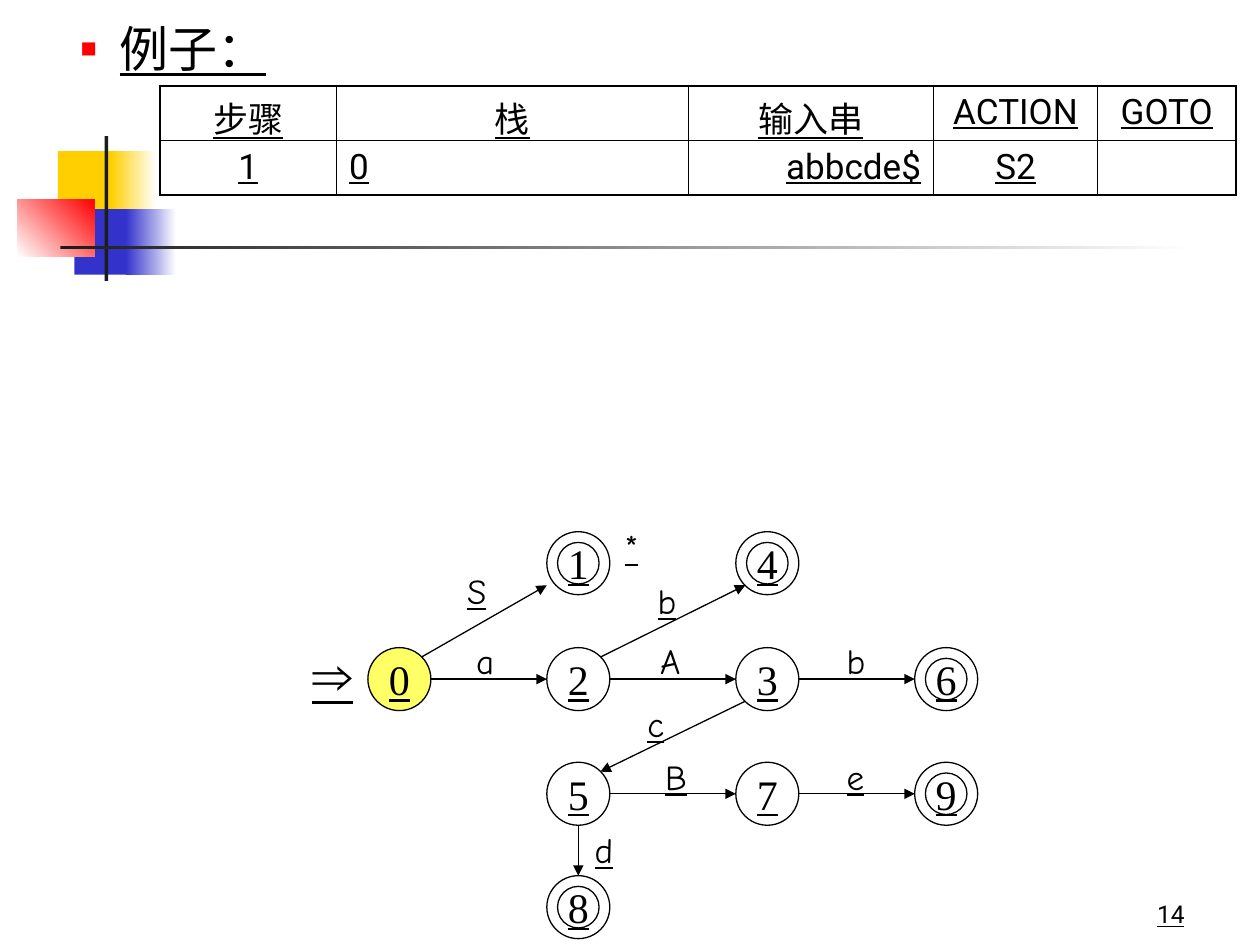
"""Builds the slide with the first step of an LR parse and its automaton."""
from dataclasses import dataclass

from lxml import etree
from pptx import Presentation
from pptx import util as u
from pptx.dml import color
from pptx.enum import shapes, text
from pptx.oxml import ns

BLACK, WHITE, RED = "000000", "FFFFFF", "FF0000"
YELLOW, BLUE, DARK = "FFCF01", "3333CC", "1C1C1C"
COLUMNS, ROWS = 100, 75
RADIUS, INNER = 2.5, 1.65
DIAGONAL = 0.7
STATE_X = (31.7, 45.9, 60.9, 75.1)
STATE_Y = (44.7, 53.9, 63.0, 72.0)
EAST, WEST, SOUTH, NORTH = (1, 0), (-1, 0), (0, 1), (0, -1)
NORTH_EAST, SOUTH_WEST = (DIAGONAL, -DIAGONAL), (-DIAGONAL, DIAGONAL)

deck = Presentation()
deck.slide_width, deck.slide_height = u.Inches(10), u.Inches(7.5)
slide = deck.slides.add_slide(deck.slide_layouts[1])


@dataclass
class Box:
    """A rectangle in cells of the slide grid."""
    left: float
    top: float
    width: float
    height: float

    def emu(self) -> tuple:
        """Gives left, top, width and height as slide lengths."""
        return (across(self.left), down(self.top),
                across(self.width), down(self.height))


@dataclass
class Panel:
    """A decorative block with one colour, or a gradient of two."""
    box: Box
    start: str
    end: str = ""
    angle: float = 0


@dataclass
class State:
    """An automaton state at a column and row of the diagram."""
    name: str
    column: int
    row: int
    final: bool = False
    fill: str = ""

    def point(self, side: tuple) -> tuple:
        """Gives the spot on the circle that lies in a direction."""
        return (across(STATE_X[self.column] + side[0] * RADIUS),
                down(STATE_Y[self.row] + side[1] * RADIUS))


@dataclass
class Move:
    """A transition between two states."""
    source: str
    target: str
    leave: tuple = EAST
    arrive: tuple = WEST


@dataclass
class Label:
    """A short text next to the diagram."""
    words: str
    left: float
    top: float


PANELS = (
    Panel(Box(4.6, 12, 4.8, 5.2), YELLOW),
    Panel(Box(8.8, 12, 3.6, 5.2), YELLOW, WHITE),
    Panel(Box(5.9, 16.6, 4.6, 5.2), BLUE),
    Panel(Box(10, 16.6, 4, 5.2), BLUE, WHITE),
    Panel(Box(1.4, 15.8, 6.1, 4.6), WHITE, RED, 45),
    Panel(Box(8.3, 10.8, 0.3, 11.5), DARK),
    Panel(Box(4.8, 19.5, 90, 0.3), DARK, WHITE),
)
STATES = (
    State("0", 0, 1, fill="FFFF66"), State("1", 1, 0, True), State("4", 2, 0, True),
    State("2", 1, 1), State("3", 2, 1), State("5", 1, 2), State("7", 2, 2),
    State("6", 3, 1, True), State("9", 3, 2, True), State("8", 1, 3, True),
)
MOVES = (
    Move("0", "2"), Move("2", "3"), Move("3", "6"), Move("5", "7"), Move("7", "9"),
    Move("0", "1", NORTH_EAST, (-1, DIAGONAL)), Move("2", "4", NORTH_EAST, SOUTH_WEST),
    Move("3", "5", SOUTH_WEST, NORTH_EAST), Move("5", "8", SOUTH, NORTH),
)
LABELS = (
    Label("S", 36.1, 44.7), Label("a", 36.8, 50.3), Label("b", 51.2, 45.5),
    Label("A", 51.4, 50.3), Label("b", 66.2, 50.3), Label("c", 50.4, 55.3),
    Label("B", 51.8, 59.5), Label("e", 66.2, 59.5), Label("d", 46.2, 65.3),
    Label("*", 48.6, 41.2),
)
TRACE = (("步骤", "栈", "输入串", "ACTION", "GOTO"), ("1", "0", "abbcde$", "S2", ""))
TRACE_WIDTHS = (14, 27.9, 19.5, 13, 11)
TRACE_ROW = 4.35
LEFT, CENTER, RIGHT = text.PP_ALIGN.LEFT, text.PP_ALIGN.CENTER, text.PP_ALIGN.RIGHT


def across(cells: float) -> int:
    """Turns grid columns into a length."""
    return round(deck.slide_width * cells / COLUMNS)


def down(cells: float) -> int:
    """Turns grid rows into a length."""
    return round(deck.slide_height * cells / ROWS)


def rgb(code: str) -> color.RGBColor:
    """Reads a hex colour."""
    return color.RGBColor.from_string(code)


def add_xml(parent, tag: str, **values: str):
    """Appends a drawing element."""
    return etree.SubElement(parent, ns.qn(tag), values)


def write(paragraph, words: str, size: float, font: str = "Roboto", align=LEFT) -> None:
    """Adds one underlined run."""
    paragraph.alignment = align
    run = paragraph.add_run()
    run.text = words
    run.font.name, run.font.size, run.font.underline = font, u.Pt(size), True
    run.font.color.rgb = rgb(BLACK)


def add_panel(panel: Panel) -> None:
    """Draws a decorative block."""
    block = slide.shapes.add_shape(shapes.MSO_SHAPE.RECTANGLE, *panel.box.emu())
    block.shadow.inherit = False
    block.line.fill.background()
    if not panel.end:
        block.fill.solid()
        block.fill.fore_color.rgb = rgb(panel.start)
        return
    block.fill.gradient()
    block.fill.gradient_angle = panel.angle
    for stop, code, place in zip(block.fill.gradient_stops, (panel.start, panel.end), (0, 1)):
        stop.color.rgb, stop.position = rgb(code), place


def add_circle(state: State, radius: float, fill: str = ""):
    """Draws a ring around the middle of a state."""
    ring = slide.shapes.add_shape(shapes.MSO_SHAPE.OVAL, *Box(
        STATE_X[state.column] - radius, STATE_Y[state.row] - radius,
        2 * radius, 2 * radius).emu())
    ring.shadow.inherit = False
    ring.line.color.rgb, ring.line.width = rgb(BLACK), u.Pt(0.75)
    if fill:
        ring.fill.solid()
        ring.fill.fore_color.rgb = rgb(fill)
    else:
        ring.fill.background()
    return ring


def add_state(state: State) -> None:
    """Draws a state, with a second ring if it is final."""
    frame = add_circle(state, RADIUS, state.fill).text_frame
    frame.word_wrap, frame.vertical_anchor = False, text.MSO_ANCHOR.MIDDLE
    write(frame.paragraphs[0], state.name, 24, "Times New Roman", CENTER)
    if state.final:
        add_circle(state, INNER)


def add_move(move: Move, states: dict) -> None:
    """Draws the arrow of a transition."""
    arrow = slide.shapes.add_connector(
        shapes.MSO_CONNECTOR.STRAIGHT,
        *states[move.source].point(move.leave), *states[move.target].point(move.arrive))
    arrow.line.color.rgb, arrow.line.width = rgb(BLACK), u.Pt(0.75)
    add_xml(arrow.line._get_or_add_ln(), "a:tailEnd", type="triangle")
    add_xml(arrow.element.spPr, "a:effectLst")


def add_text(box: Box, words: str, size: float, font: str, wrap: bool = False,
             align=LEFT, anchor=text.MSO_ANCHOR.TOP) -> None:
    """Adds a text box with one line."""
    frame = slide.shapes.add_textbox(*box.emu()).text_frame
    frame.word_wrap, frame.vertical_anchor = wrap, anchor
    write(frame.paragraphs[0], words, size, font, align)


def add_heading() -> None:
    """Fills the body placeholder with the bulleted heading."""
    title, body = slide.placeholders
    title.element.getparent().remove(title.element)
    body.left, body.top, body.width, body.height = Box(0.4, 0.5, 28.4, 5.5).emu()
    body.text_frame.auto_size = text.MSO_AUTO_SIZE.NONE
    item = body.text_frame.paragraphs[0]
    item.level, item.line_spacing, item.space_before = 1, 1.1, u.Pt(0)
    write(item, "例子：", 28)
    layout = item._p.get_or_add_pPr()
    layout.set("marL", str(across(8.1)))
    layout.set("indent", str(across(-3.1)))
    add_xml(add_xml(layout, "a:buClr"), "a:srgbClr", val=RED)
    add_xml(layout, "a:buSzPct", val="55000")
    add_xml(layout, "a:buFont", typeface="Arial")
    add_xml(layout, "a:buChar", char="■")


def add_trace() -> None:
    """Draws the table of parse steps, with a heavier outer frame."""
    last_row, last_column = len(TRACE) - 1, len(TRACE_WIDTHS) - 1
    table = slide.shapes.add_table(len(TRACE), len(TRACE_WIDTHS), *Box(
        12.7, 6.8, sum(TRACE_WIDTHS), TRACE_ROW * len(TRACE)).emu()).table
    table.first_row = table.horz_banding = False
    for column, width in zip(table.columns, TRACE_WIDTHS):
        column.width = across(width)
    for r, entries in enumerate(TRACE):
        for c, entry in enumerate(entries):
            cell = table.cell(r, c)
            outer = {"L": c == 0, "R": c == last_column, "T": r == 0, "B": r == last_row}
            for side, heavy in outer.items():
                edge = add_xml(cell._tc.get_or_add_tcPr(), f"a:ln{side}",
                               w=str(u.Pt(1.08 if heavy else 0.45)))
                add_xml(add_xml(edge, "a:solidFill"), "a:srgbClr", val=BLACK)
            cell.fill.background()
            if entry:
                line = cell.text_frame.paragraphs[0]
                line.space_before = u.Pt(5)
                write(line, entry, 20, align={1: LEFT, 2: RIGHT}.get(c, CENTER) if r else CENTER)


def main() -> None:
    """Draws all parts and saves the deck."""
    for panel in PANELS:
        add_panel(panel)
    add_heading()
    add_text(Box(74.2, 69.2, 20.8, 5), "14", 14, "Roboto", True, RIGHT, text.MSO_ANCHOR.BOTTOM)
    add_trace()
    for state in STATES:
        add_state(state)
    states = {state.name: state for state in STATES}
    for move in MOVES:
        add_move(move, states)
    for label in LABELS:
        add_text(Box(label.left, label.top, 3.5, 4.4), label.words, 20, "Comic Neue")
    add_text(Box(23.8, 50.3, 5.5, 6.4), "⇒", 32, "Arial")
    deck.save("out.pptx")


if __name__ == "__main__":
    main()
